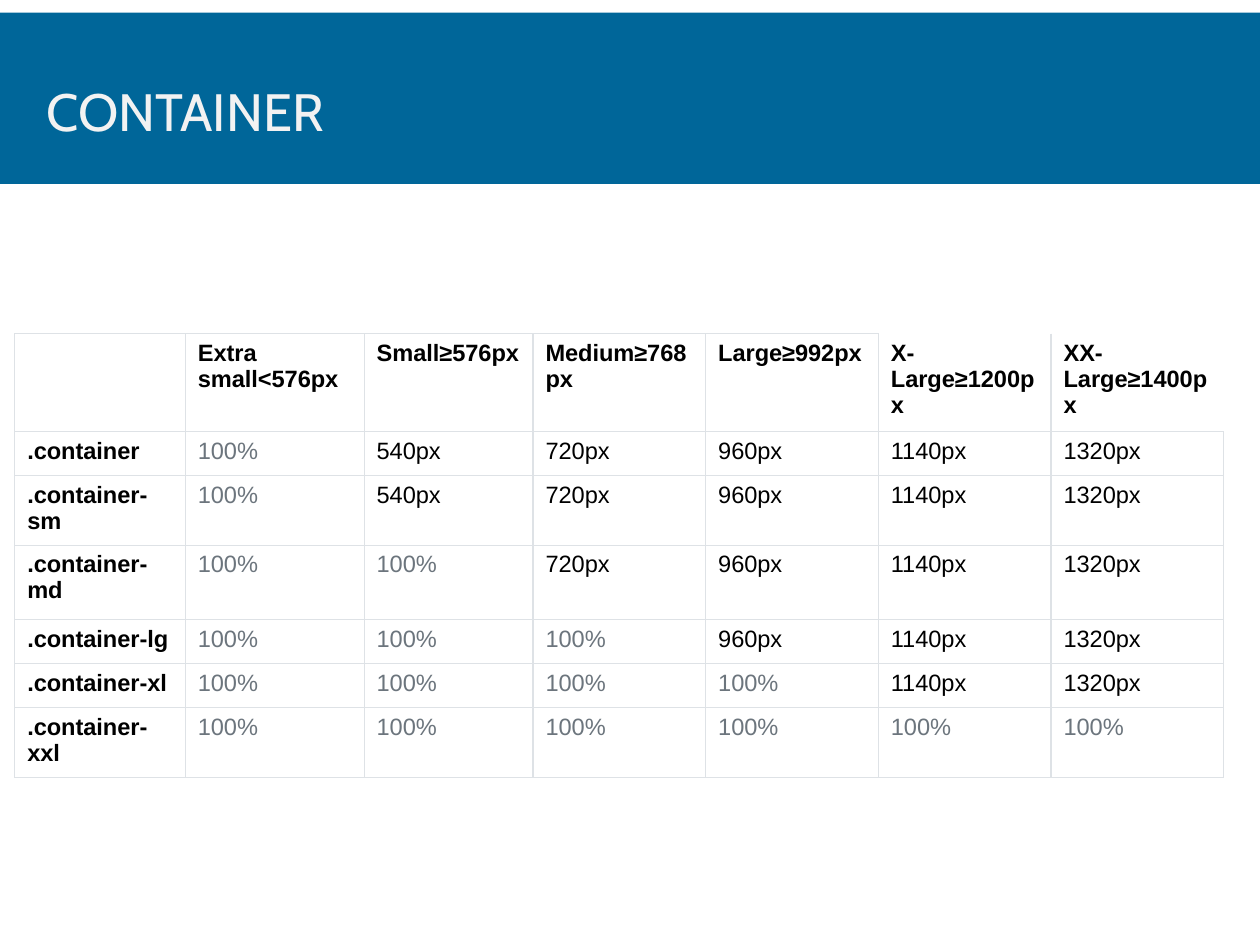
from lxml.etree import SubElement
from pptx import Presentation
from pptx.dml.color import RGBColor
from pptx.enum.shapes import MSO_SHAPE
from pptx.enum.text import MSO_ANCHOR
from pptx.oxml.ns import qn
from pptx.util import Pt

BLUE = RGBColor(0x00, 0x66, 0x99)
WHITE = RGBColor(0xFF, 0xFF, 0xFF)
OFF_WHITE = RGBColor(0xF2, 0xF2, 0xF2)
BLACK = RGBColor(0x00, 0x00, 0x00)
GRAY = RGBColor(0x6C, 0x75, 0x7D)
BORDER = RGBColor(0xDE, 0xE2, 0xE6)

FLUID = "100%"
HEADERS = ["", "Extra small<576px", "Small≥576px", "Medium≥768px",
           "Large≥992px", "X-Large≥1200px", "XX-Large≥1400px"]
WIDTHS = ["540px", "720px", "960px", "1140px", "1320px"]
FLUID_COUNTS = {".container": 1, ".container-sm": 1, ".container-md": 2,
                ".container-lg": 3, ".container-xl": 4, ".container-xxl": 6}
COL_WIDTHS = [97.5, 102.2, 96.5] + [98.7] * 4
ROW_HEIGHTS = [56.1, 25.2, 25.2, 42.5, 25.2, 25.2, 39.9]
OPEN_CELLS = {(0, 5): "LRB", (0, 6): "LB"}


class Deck:
    title_font = "Cabin"
    body_font = "Arial"
    title_size = 30
    body_size = 13.5

    def __init__(self, prs):
        self.s = prs.slides.add_slide(prs.slide_layouts[6])

    def run(self, p, text, font, size, color, bold=False):
        r = p.add_run()
        r.text = text
        r.font.name = font
        r.font.size = Pt(size)
        r.font.bold = bold
        r.font.color.rgb = color

    def band(self, x, y, w, h, color):
        sp = self.s.shapes.add_shape(MSO_SHAPE.RECTANGLE, Pt(x), Pt(y), Pt(w), Pt(h))
        sp.shadow.inherit = False
        sp.fill.solid()
        sp.fill.fore_color.rgb = color
        sp.line.fill.background()

    def title(self, x, y, w, h, text):
        tf = self.s.shapes.add_textbox(Pt(x), Pt(y), Pt(w), Pt(h)).text_frame
        tf.word_wrap = True
        tf.vertical_anchor = MSO_ANCHOR.MIDDLE
        p = tf.paragraphs[0]
        p.line_spacing = 0.85
        self.run(p, text, self.title_font, self.title_size, OFF_WHITE)

    def borders(self, cell, sides):
        tcPr = cell._tc.get_or_add_tcPr()
        for side in "LRTB":
            ln = SubElement(tcPr, qn(f"a:ln{side}"), w=str(Pt(0.75)))
            if side in sides:
                fill = SubElement(ln, qn("a:solidFill"))
                SubElement(fill, qn("a:srgbClr"), val=str(BORDER))
            else:
                SubElement(ln, qn("a:noFill"))

    def table(self, x, y, rows, col_widths, row_heights):
        frame = self.s.shapes.add_table(
            len(rows), len(col_widths), Pt(x), Pt(y),
            Pt(sum(col_widths)), Pt(sum(row_heights)))
        table = frame.table
        table.first_row = False
        table.horz_banding = False
        for col, width in zip(table.columns, col_widths):
            col.width = Pt(width)
        for row, height in zip(table.rows, row_heights):
            row.height = Pt(height)
        for i, texts in enumerate(rows):
            for j, text in enumerate(texts):
                cell = table.cell(i, j)
                self.borders(cell, OPEN_CELLS.get((i, j), "LRTB"))
                if (i, j) in OPEN_CELLS:
                    cell.fill.background()
                else:
                    cell.fill.solid()
                    cell.fill.fore_color.rgb = WHITE
                if text:
                    self.run(cell.text_frame.paragraphs[0], text,
                             self.body_font, self.body_size,
                             GRAY if text == FLUID else BLACK,
                             bold=i == 0 or j == 0)


def main():
    prs = Presentation()
    prs.slide_width, prs.slide_height = Pt(720), Pt(540)
    deck = Deck(prs)
    deck.band(0, 7.2, 720, 97.9, BLUE)
    deck.title(19.5, 26.6, 680.4, 78.5, "CONTAINER")
    rows = [HEADERS] + [[name] + [FLUID] * n + WIDTHS[n - 1:]
                        for name, n in FLUID_COUNTS.items()]
    deck.table(8.4, 190.6, rows, COL_WIDTHS, ROW_HEIGHTS)
    prs.save("out.pptx")


if __name__ == "__main__":
    main()
